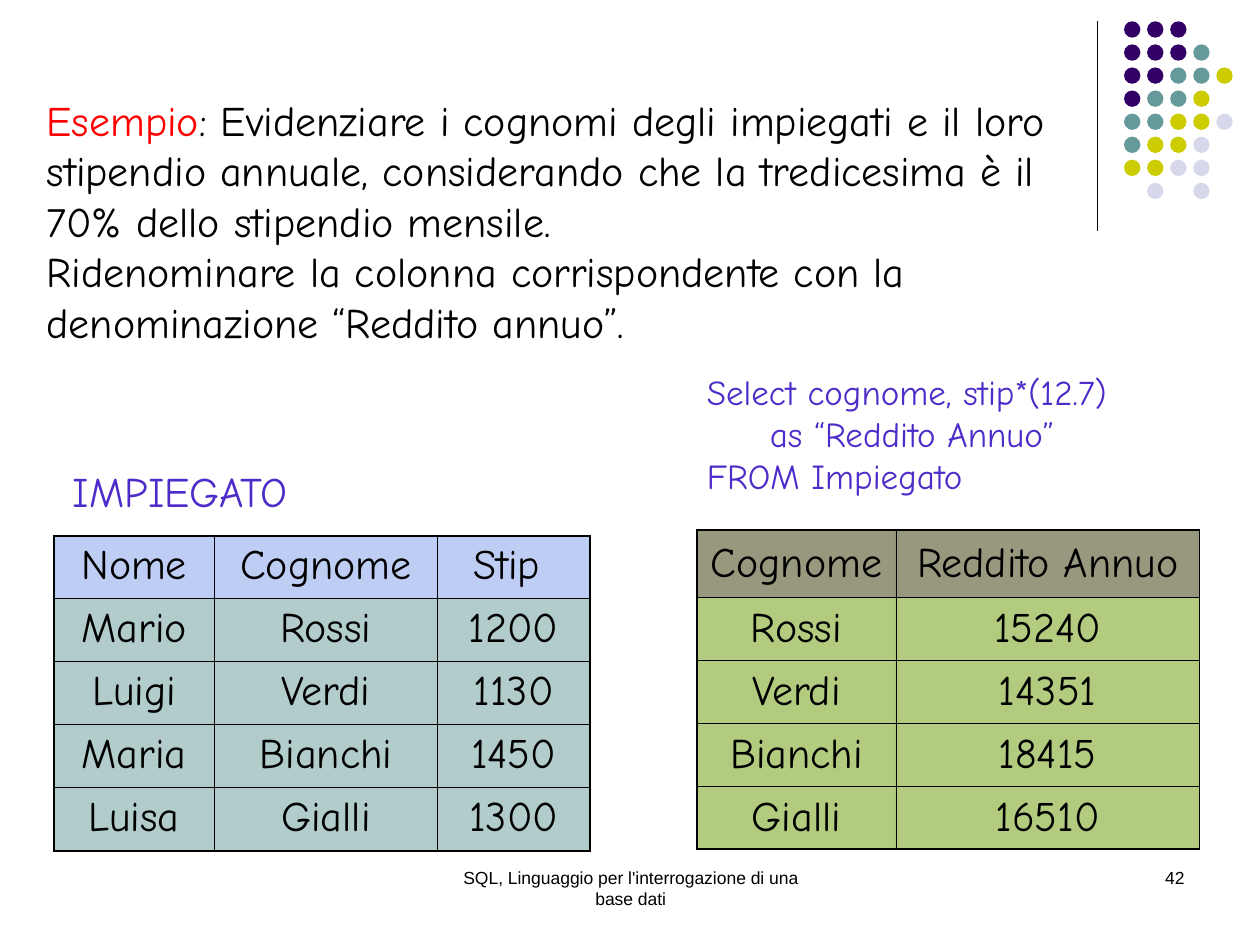
from dataclasses import dataclass

from lxml.etree import SubElement
from pptx import Presentation
from pptx.dml.color import RGBColor as Rgb
from pptx.enum.shapes import MSO_CONNECTOR as Link, MSO_SHAPE as Form
from pptx.enum.text import MSO_ANCHOR as Anchor, MSO_AUTO_SIZE as Fit, PP_ALIGN as Align
from pptx.oxml import parse_xml
from pptx.oxml.ns import nsdecls, qn
from pptx.util import Cm, Pt


@dataclass(frozen=True)
class Theme:
    font: str = "Comic Neue"
    plain: str = "Arial"
    ink: str = "000000"
    red: str = "FF0000"
    blue: str = "4E2CCA"
    dots: tuple = ("330066", "669999", "CCCC00", "D8D8EC")
    body: int = 24
    code: int = 20
    foot: int = 10
    thick: float = 1.08
    thin: float = 0.45


T = Theme()


@dataclass(frozen=True)
class Label:
    box: tuple  # left, top, width, height in cm
    lines: list  # each line is a string or a list of (text, colour) runs
    size: int = T.body
    font: str = T.font
    color: str = T.ink
    align: Align = Align.LEFT
    wrap: bool = True
    grow: bool = True


@dataclass(frozen=True)
class Grid:
    spot: tuple
    cols: tuple
    tall: tuple
    head: str
    fill: str
    pad: float
    anchor: Anchor
    rows: list


LABELS = [
    Label((8.69, 17.35, 8.05, 1.27),
          ["SQL, Linguaggio per l'interrogazione di una base dati"],
          T.foot, T.plain, align=Align.CENTER, grow=False),
    Label((18.21, 17.35, 5.92, 1.27), ["42"],
          T.foot, T.plain, align=Align.RIGHT, grow=False),
    Label((0.69, 1.78, 21.41, 5.33), [
        [("Esempio", T.red),
         (": Evidenziare i cognomi degli impiegati e il loro stipendio annuale, "
          "considerando che la tredicesima è il 70% dello stipendio mensile.", T.ink)],
        "Ridenominare la colonna corrispondente con la denominazione “Reddito annuo”.",
    ]),
    Label((1.22, 9.25, 4.95, 1.27), ["IMPIEGATO"], color=T.blue, wrap=False),
    Label((14, 7.34, 8.81, 2.79),
          ["Select cognome, stip*(12.7)", "\tas “Reddito Annuo”", "FROM Impiegato"],
          T.code, color=T.blue, wrap=False),
]

GRIDS = [
    Grid((14.05, 10.69), (4.01, 6.12), (1.35, 1.27), "333300", "669900", 0.2, Anchor.MIDDLE, [
        ("Cognome", "Reddito Annuo"),
        ("Rossi", "15240"),
        ("Verdi", "14351"),
        ("Bianchi", "18415"),
        ("Gialli", "16510"),
    ]),
    Grid((1.09, 10.8), (3.23, 4.5, 3.07), (1.27, 1.27), "7E9CE8", "669999", 0.25, Anchor.TOP, [
        ("Nome", "Cognome", "Stip "),
        ("Mario", "Rossi", "1200"),
        ("Luigi", "Verdi", "1130"),
        ("Maria", "Bianchi", "1450"),
        ("Luisa", "Gialli", "1300"),
    ]),
]

# Each digit is an index into the dot colours
DOTS = ("000", "0001", "00112", "0112", "11223", "1223", "2233", " 3 3")


def write(frame, lines: list, *, size: int = T.body, font: str = T.font,
          color: str = T.ink, align: Align = Align.LEFT) -> None:
    for i, line in enumerate(lines):
        para = frame.paragraphs[0] if i == 0 else frame.add_paragraph()
        para.alignment = align
        for text, tint in [(line, color)] if isinstance(line, str) else line:
            run = para.add_run()
            run.text = text
            run.font.size, run.font.name = Pt(size), font
            run.font.color.rgb = Rgb.from_string(tint)


def add_label(slide, label: Label) -> None:
    frame = slide.shapes.add_textbox(*map(Cm, label.box)).text_frame
    frame.word_wrap = label.wrap
    frame.auto_size = Fit.SHAPE_TO_FIT_TEXT if label.grow else Fit.NONE
    write(frame, label.lines, size=label.size, font=label.font,
          color=label.color, align=label.align)


def paint(cell, color: str, edges: dict) -> None:
    """Half-transparent fill, with one border for each edge."""
    cell.fill.solid()
    cell.fill.fore_color.rgb = Rgb.from_string(color)
    props = cell._tc.get_or_add_tcPr()
    SubElement(props.find(".//" + qn("a:srgbClr")), qn("a:alpha"), val="50000")
    for i, (side, outer) in enumerate(edges.items()):
        width = Pt(T.thick if outer else T.thin)
        props.insert(i, parse_xml(
            f'<a:ln{side} {nsdecls("a")} w="{width}"><a:solidFill>'
            f'<a:srgbClr val="{T.ink}"/></a:solidFill></a:ln{side}>'))


def add_grid(slide, grid: Grid) -> None:
    last, end = len(grid.rows) - 1, len(grid.cols) - 1
    tall = [grid.tall[0]] + [grid.tall[1]] * last
    size = (sum(grid.cols), sum(tall))
    table = slide.shapes.add_table(
        last + 1, end + 1, *map(Cm, grid.spot + size)).table
    table.first_row = table.horz_banding = False
    for col, width in zip(table.columns, grid.cols):
        col.width = Cm(width)
    for r, row in enumerate(grid.rows):
        table.rows[r].height = Cm(tall[r])
        for c, text in enumerate(row):
            cell = table.cell(r, c)
            cell.vertical_anchor = grid.anchor
            cell.margin_left = cell.margin_right = Cm(grid.pad)
            cell.margin_top = cell.margin_bottom = Cm(0.13)
            write(cell.text_frame, [text], align=Align.CENTER)
            paint(cell, grid.fill if r else grid.head,
                  {"L": c == 0, "R": c == end, "T": r == 0, "B": r == last})


def add_dots(slide, left: float, top: float, step: float, size: float) -> None:
    group = slide.shapes.add_group_shape()
    for r, row in enumerate(DOTS):
        for c, key in enumerate(row):
            if key == " ":
                continue
            dot = group.shapes.add_shape(
                Form.OVAL, Cm(left + c * step), Cm(top + r * step), Cm(size), Cm(size))
            dot.shadow.inherit = False
            dot.fill.solid()
            dot.fill.fore_color.rgb = Rgb.from_string(T.dots[int(key)])
            dot.line.fill.background()


def add_rule(slide, x: float, top: float, end: float) -> None:
    rule = slide.shapes.add_connector(Link.STRAIGHT, Cm(x), Cm(top), Cm(x), Cm(end))
    rule.line.color.rgb = Rgb.from_string(T.ink)
    rule.line.width = Pt(0.75)
    SubElement(rule._element.spPr, qn("a:effectLst"))


def main() -> None:
    deck = Presentation()
    deck.slide_width, deck.slide_height = Cm(25.4), Cm(19.05)
    slide = deck.slides.add_slide(deck.slide_layouts[6])

    # Corner ornament
    add_rule(slide, 22.12, 0.43, 4.65)
    add_dots(slide, 22.66, 0.43, 0.465, 0.33)

    # Tables and texts
    for grid in GRIDS:
        add_grid(slide, grid)
    for label in LABELS:
        add_label(slide, label)

    deck.save("out.pptx")


if __name__ == "__main__":
    main()
